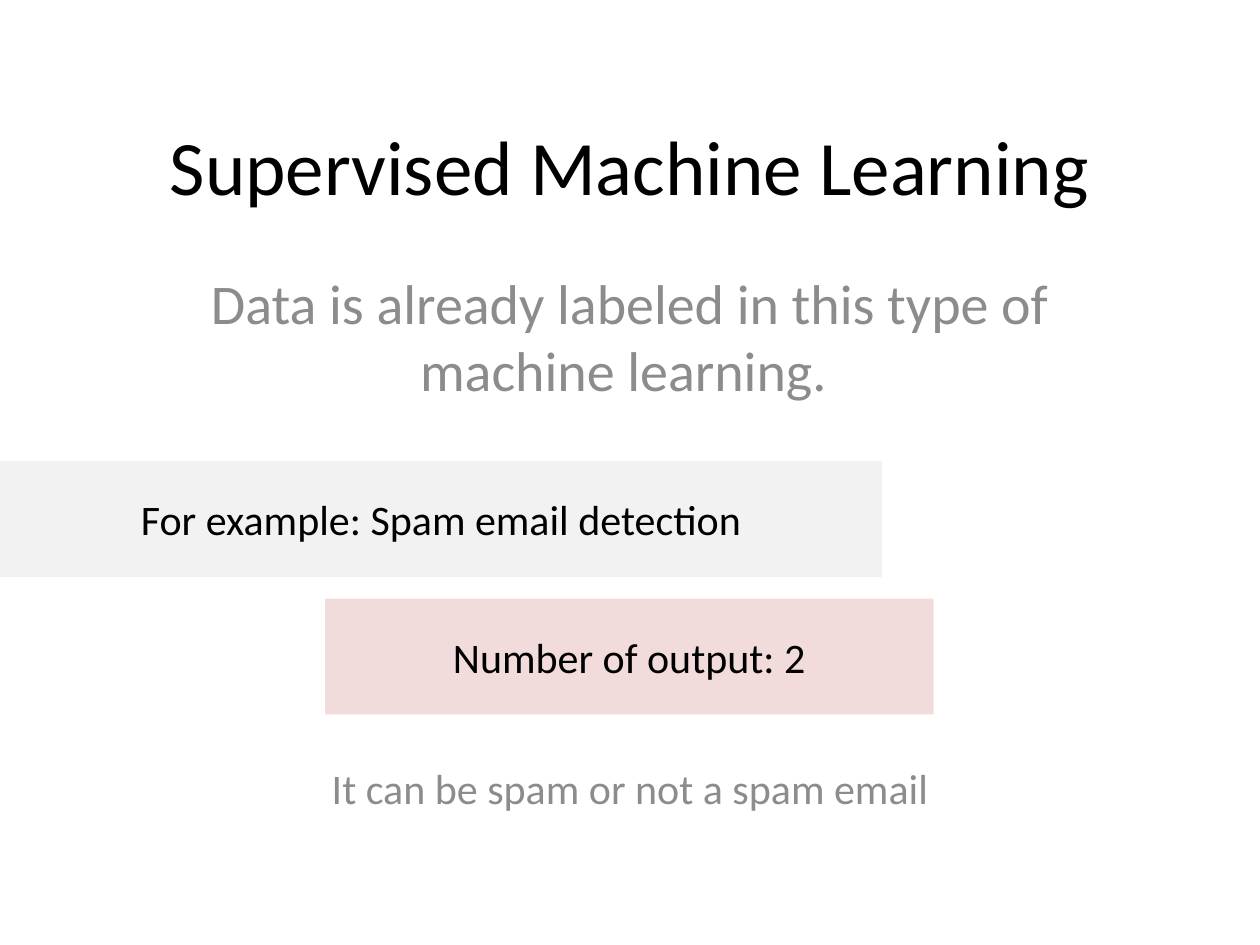
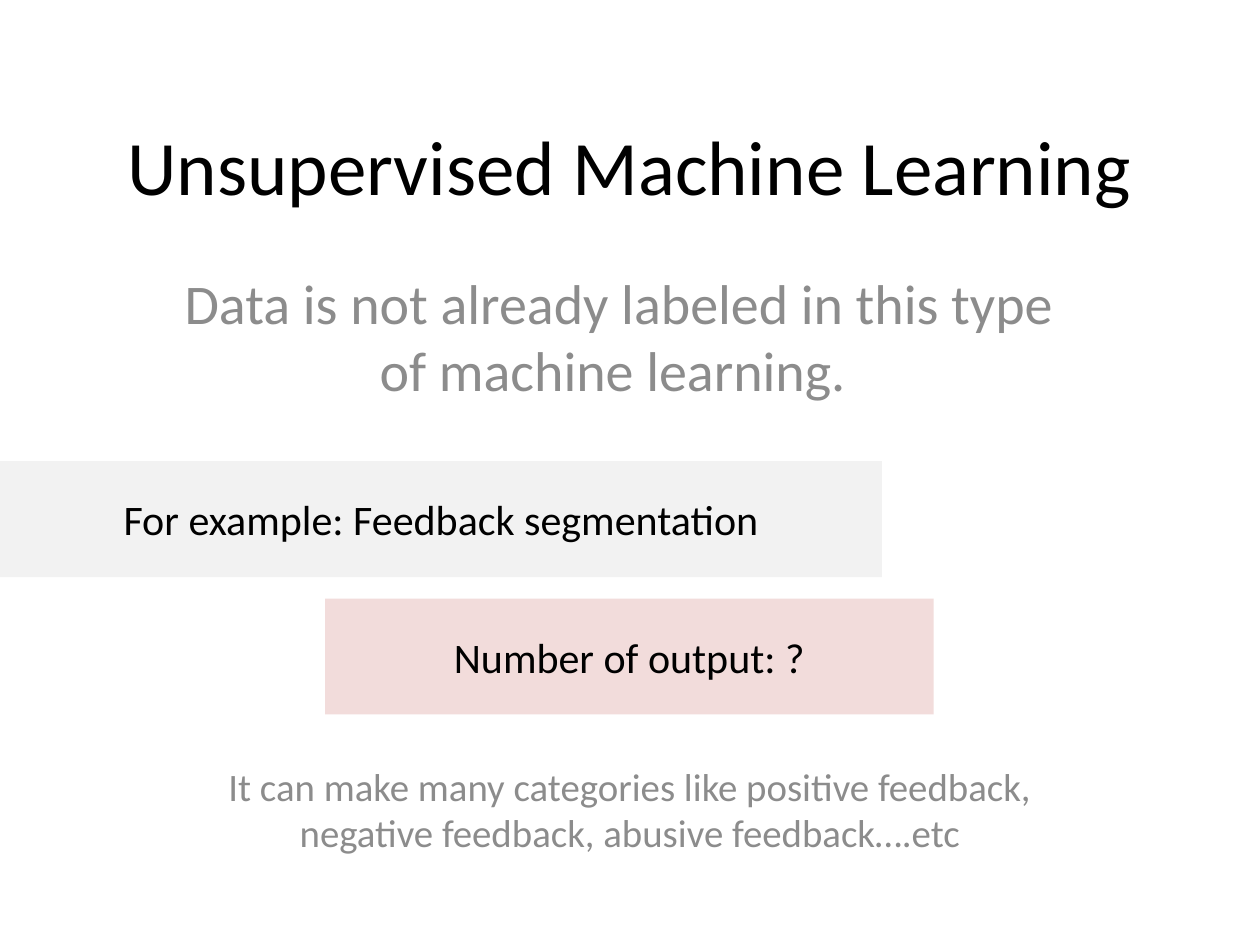
from dataclasses import dataclass

from pptx import Presentation
from pptx.dml.color import RGBColor
from pptx.enum.shapes import MSO_SHAPE
from pptx.enum.text import MSO_ANCHOR, PP_ALIGN
from pptx.util import Inches, Pt

RECT = MSO_SHAPE.RECTANGLE
TOP, MIDDLE = MSO_ANCHOR.TOP, MSO_ANCHOR.MIDDLE
CENTER = PP_ALIGN.CENTER
BLANK = 6


@dataclass(frozen=True)
class Theme:
    font: str = "Calibri"
    ink: str = "000000"
    muted: str = "8C8C8C"
    example_fill: str = "F2F2F2"
    output_fill: str = "F2DCDB"
    title_size: float = 44
    subtitle_size: float = 32
    body_size: float = 24
    small_size: float = 22.2


THEME = Theme()


def write(sp, text, size, color, anchor):
    tf = sp.text_frame
    tf.word_wrap = True
    tf.vertical_anchor = anchor
    p = tf.paragraphs[0]
    p.alignment = CENTER
    r = p.add_run()
    r.text = text
    r.font.name = THEME.font
    r.font.size = Pt(size)
    r.font.color.rgb = RGBColor.from_string(color)


def add_text(s, box, text, size, color, anchor=TOP):
    sp = s.shapes.add_textbox(*map(Inches, box))
    write(sp, text, size, color, anchor)


def add_band(s, box, text, fill):
    sp = s.shapes.add_shape(RECT, *map(Inches, box))
    sp.shadow.inherit = False
    sp.fill.solid()
    sp.fill.fore_color.rgb = RGBColor.from_string(fill)
    sp.line.fill.background()
    write(sp, text, THEME.body_size, THEME.ink, MIDDLE)


def add_learning_slide(prs, title, subtitle, example, output, note,
                       subtitle_left=1.5, note_size=THEME.body_size):
    s = prs.slides.add_slide(prs.slide_layouts[BLANK])
    add_text(s, (0.75, 0.5, 8.5, 1.61), title, THEME.title_size, THEME.ink, MIDDLE)
    add_text(s, (subtitle_left, 2.08, 8.5 - subtitle_left, 1.5), subtitle,
             THEME.subtitle_size, THEME.muted)
    add_band(s, (0, 3.66, 7, 0.92), f"For example: {example}", THEME.example_fill)
    add_band(s, (2.58, 4.75, 4.83, 0.92), f"Number of output: {output}", THEME.output_fill)
    add_text(s, (1.5, 6, 7, 0.75), note, note_size, THEME.muted)


def main():
    prs = Presentation()
    prs.slide_width, prs.slide_height = Inches(10), Inches(7.5)
    add_learning_slide(
        prs,
        "Supervised Machine Learning",
        "Data is already labeled in this type of machine learning. ",
        "Spam email detection",
        "2",
        "It can be spam or not a spam email",
    )
    add_learning_slide(
        prs,
        "Unsupervised Machine Learning",
        "Data is not already labeled in this type of machine learning. ",
        "Feedback segmentation",
        "?",
        "It can make many categories like positive feedback, "
        "negative feedback, abusive feedback….etc",
        subtitle_left=1.33,
        note_size=THEME.small_size,
    )
    prs.save("out.pptx")


if __name__ == "__main__":
    main()
